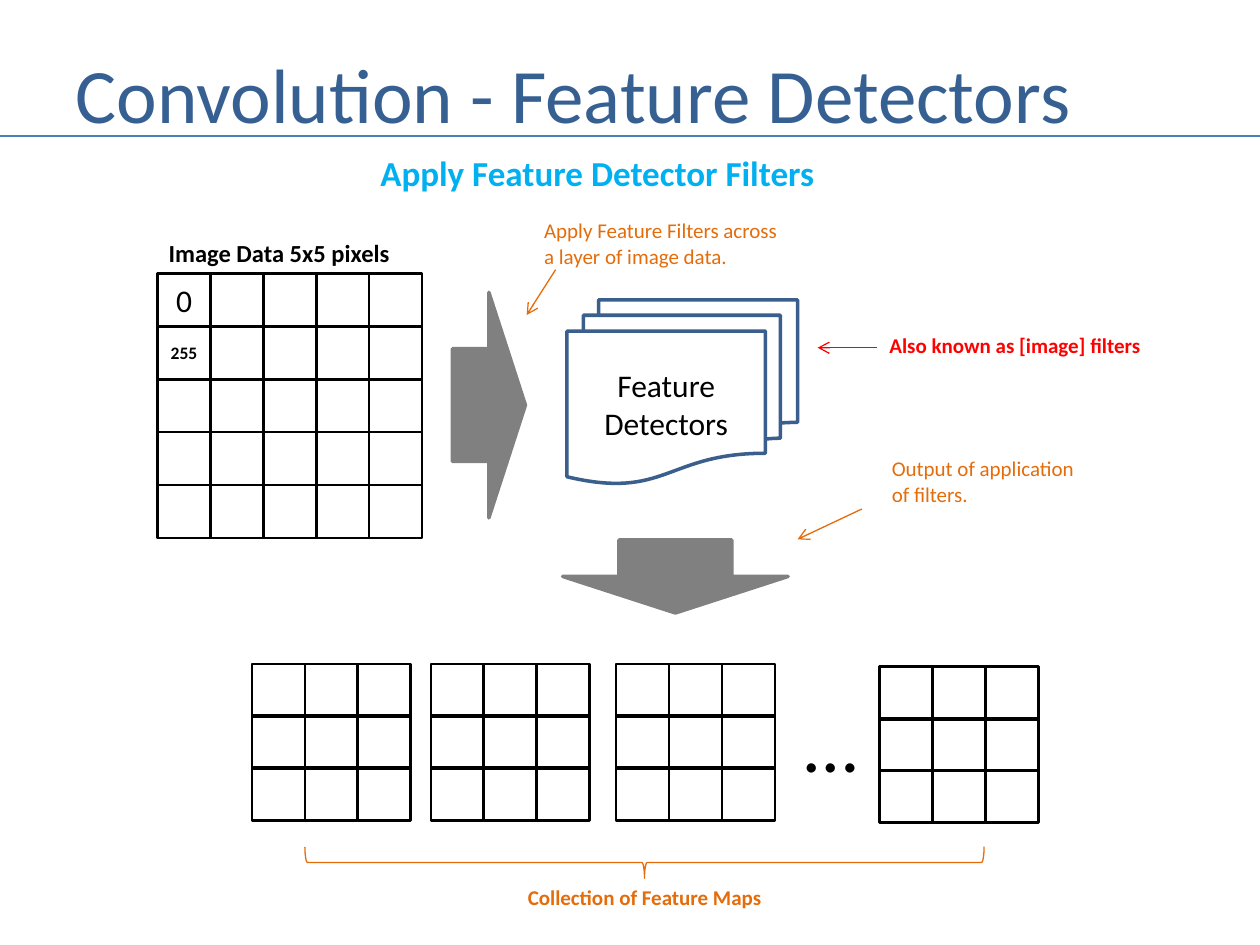
from dataclasses import dataclass

from lxml import etree
from pptx import Presentation
from pptx.dml.color import RGBColor
from pptx.enum.shapes import MSO_CONNECTOR, MSO_SHAPE as Shape
from pptx.enum.text import MSO_ANCHOR as Anchor, MSO_AUTO_SIZE as AutoSize, PP_ALIGN as Align
from pptx.oxml.ns import qn
from pptx.util import Inches, Pt


@dataclass(frozen=True)
class Theme:
    font: str = "Calibri"
    title: str = "376092"
    rule: str = "4B7EBC"
    heading: str = "00B0F0"
    ink: str = "000000"
    note: str = "E46C0A"
    alert: str = "FF0000"
    arrow: str = "808080"
    document: str = "3A5F8C"
    title_size: int = 44
    heading_size: int = 20
    body_size: int = 18
    label_size: int = 14
    note_size: int = 12
    small_size: int = 10


class SlideBuilder:
    def __init__(self, slide, theme):
        self.slide = slide
        self.theme = theme

    def set_text(self, frame, text, size, color, bold=False, align=Align.LEFT):
        frame.text = text
        for paragraph in frame.paragraphs:
            paragraph.alignment = align
            font = paragraph.font
            font.name, font.size, font.bold = self.theme.font, Pt(size), bold
            font.color.rgb = RGBColor.from_string(color)

    def title(self, text, left, top, width, height):
        shape = self.slide.shapes.title
        shape.left, shape.top = Inches(left), Inches(top)
        shape.width, shape.height = Inches(width), Inches(height)
        frame = shape.text_frame
        frame.auto_size = AutoSize.NONE
        frame.vertical_anchor = Anchor.MIDDLE
        self.set_text(frame, text, self.theme.title_size, self.theme.title)

    def text(self, text, left, top, width, height, size, color, bold=False):
        box = self.slide.shapes.add_textbox(
            Inches(left), Inches(top), Inches(width), Inches(height))
        frame = box.text_frame
        frame.word_wrap = False
        frame.auto_size = AutoSize.SHAPE_TO_FIT_TEXT
        self.set_text(frame, text, size, color, bold)

    def line(self, start, end, color, width=0.75, arrow=True):
        connector = self.slide.shapes.add_connector(
            MSO_CONNECTOR.STRAIGHT, *map(Inches, start + end))
        connector.line.color.rgb = RGBColor.from_string(color)
        connector.line.width = Pt(width)
        properties = connector._element.spPr
        if arrow:
            etree.SubElement(properties.find(qn("a:ln")), qn("a:tailEnd"), type="arrow")
        etree.SubElement(properties, qn("a:effectLst"))

    def shape(self, kind, left, top, width, height, color, line_width, fill=None, rotation=0):
        shape = self.slide.shapes.add_shape(
            kind, Inches(left), Inches(top), Inches(width), Inches(height))
        shape.shadow.inherit = False
        shape.rotation = rotation
        if fill:
            shape.fill.solid()
            shape.fill.fore_color.rgb = RGBColor.from_string(fill)
        else:
            shape.fill.background()
        shape.line.color.rgb = RGBColor.from_string(color)
        shape.line.width = Pt(line_width)
        return shape

    def caption(self, shape, text, size, bold=False):
        frame = shape.text_frame
        frame.word_wrap = False
        frame.vertical_anchor = Anchor.MIDDLE
        self.set_text(frame, text, size, self.theme.ink, bold, Align.CENTER)

    def grid(self, left, top, count, column_step, row_step):
        """Draw a square grid of cells and return them row by row."""
        return [[self.shape(Shape.RECTANGLE, left + column * column_step,
                            top + row * row_step, 0.42, 0.42, self.theme.ink, 1.5)
                 for column in range(count)] for row in range(count)]


def main():
    presentation = Presentation()
    presentation.slide_width, presentation.slide_height = Inches(10), Inches(7.5)
    slide = presentation.slides.add_slide(presentation.slide_layouts[5])
    theme = Theme()
    builder = SlideBuilder(slide, theme)

    # Title, rule and heading
    builder.title("Convolution - Feature Detectors", 0.5, 0.3, 9.08, 0.87)
    builder.line((0, 1.08), (10, 1.08), theme.rule, 1.5, arrow=False)
    builder.text("Apply Feature Detector Filters", 2.92, 1.15, 3.67, 0.44,
                 theme.heading_size, theme.heading, bold=True)

    # Image data
    builder.text("Image Data 5x5 pixels", 1.24, 1.84, 1.97, 0.34,
                 theme.label_size, theme.ink, bold=True)
    pixels = builder.grid(1.25, 2.17, 5, 0.42, 0.42)
    builder.caption(pixels[0][0], "0", theme.body_size)
    builder.caption(pixels[1][0], "255", theme.small_size, bold=True)

    # Block arrows around the stack of feature detectors
    for left, top, rotation in ((3.59, 2.32, 0), (5.07, 3.68, 90)):
        builder.shape(Shape.RIGHT_ARROW, left, top, 0.58, 1.79,
                      theme.arrow, 2, fill=theme.arrow, rotation=rotation)
    detectors = builder.shape(Shape.FLOWCHART_MULTIDOCUMENT, 4.5, 2.38, 1.83, 1.46,
                              theme.document, 2)
    builder.caption(detectors, "Feature\vDetectors", theme.body_size)

    # Notes with their pointers
    builder.text("Apply Feature Filters across\na layer of image data.",
                 4.22, 1.68, 2.07, 0.5, theme.note_size, theme.note)
    builder.line((4.41, 2.14), (4.18, 2.5), theme.note)
    builder.text("Also known as [image] filters", 6.96, 2.59, 2.22, 0.3,
                 theme.note_size, theme.alert, bold=True)
    builder.line((6.96, 2.76), (6.49, 2.76), theme.alert)
    builder.text("Output of application\nof filters.", 6.98, 3.57, 1.66, 0.5,
                 theme.note_size, theme.note)
    builder.line((6.84, 4.04), (6.33, 4.28), theme.note)

    # Feature maps
    for left, top in ((2, 5.27), (3.42, 5.27), (4.89, 5.27), (6.98, 5.29)):
        builder.grid(left, top, 3, 0.42, 0.41)
    builder.text("…", 6.29, 5.47, 0.63, 0.84, theme.title_size, theme.ink)

    # Brace under the maps
    builder.shape(Shape.LEFT_BRACE, 4.99, 4.15, 0.25, 5.39, theme.note, 0.75, rotation=270)
    builder.text("Collection of Feature Maps", 4.09, 6.97, 2.08, 0.3,
                 theme.note_size, theme.note, bold=True)

    presentation.save("out.pptx")


if __name__ == "__main__":
    main()
